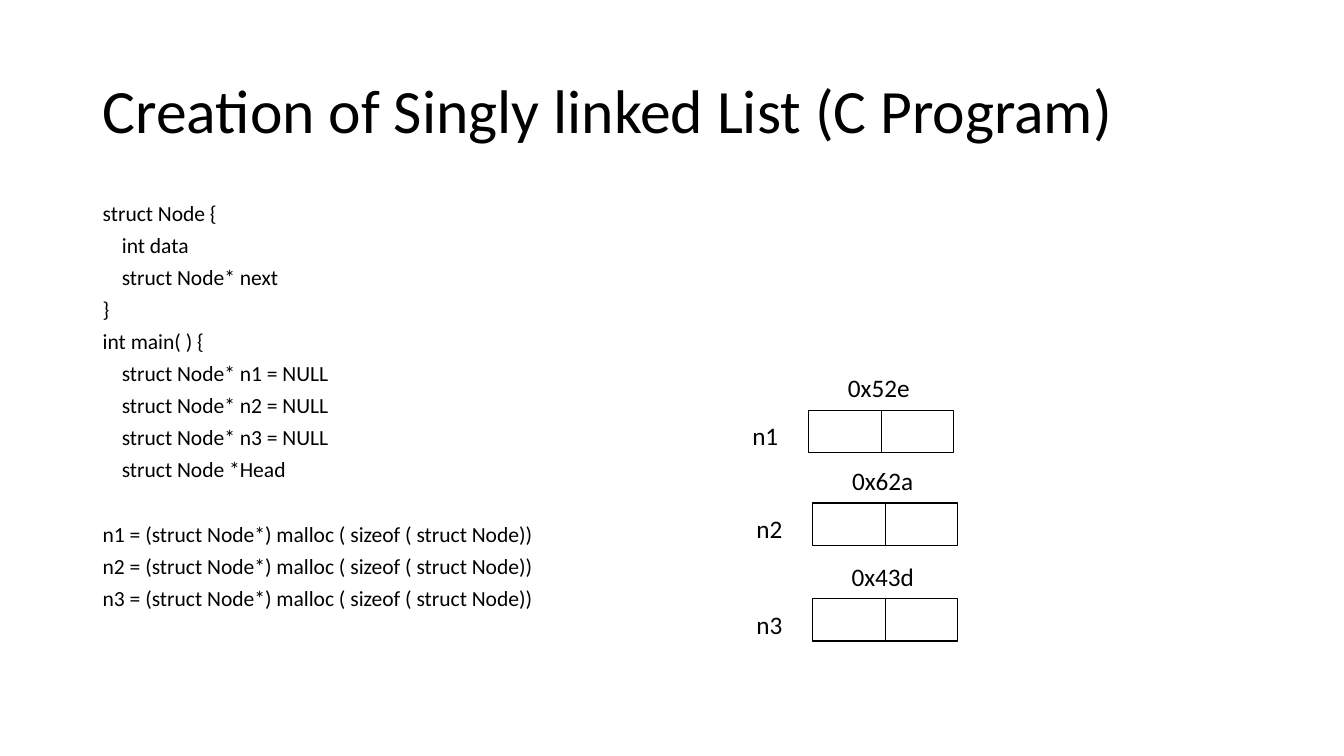
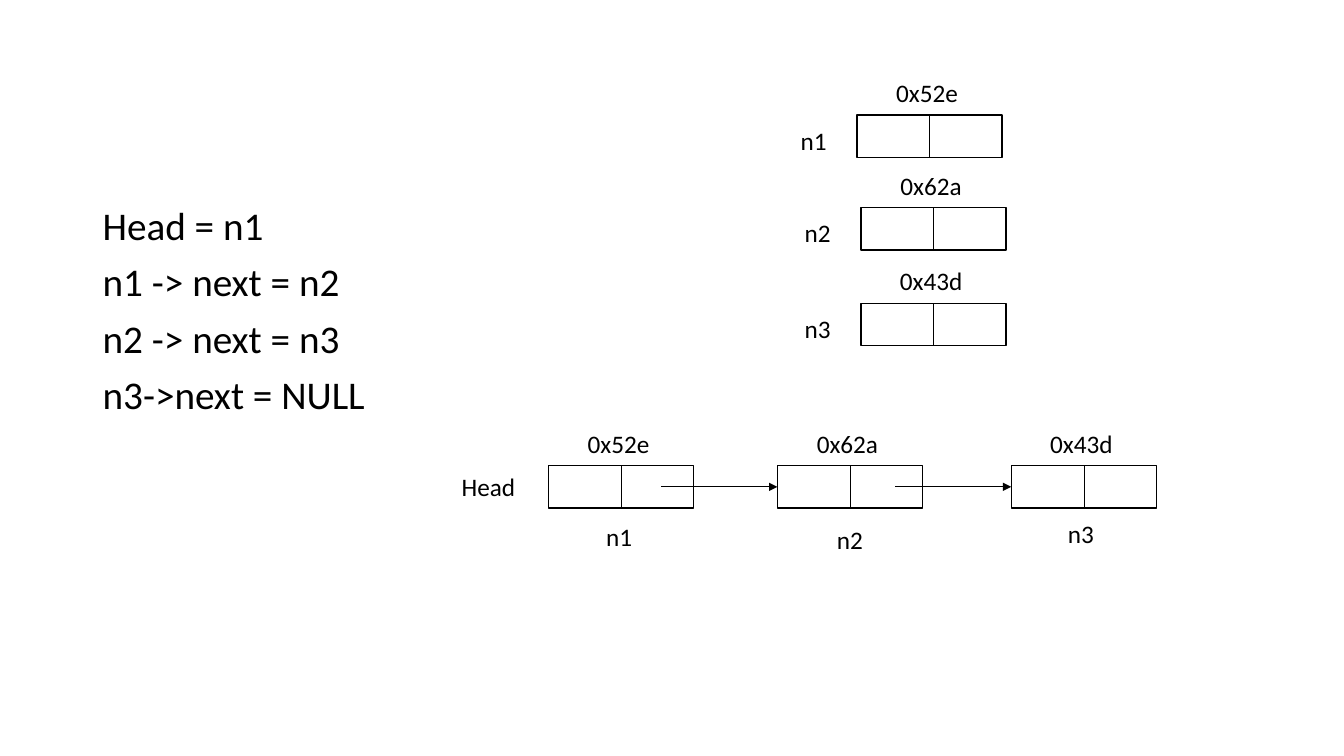
from dataclasses import dataclass
from typing import Optional

from pptx import Presentation
from pptx.dml.color import RGBColor
from pptx.enum.shapes import MSO_CONNECTOR, MSO_SHAPE
from pptx.enum.text import MSO_ANCHOR, PP_ALIGN
from pptx.oxml.ns import qn
from pptx.util import Inches, Pt
from lxml import etree

RECTANGLE = MSO_SHAPE.RECTANGLE
STRAIGHT = MSO_CONNECTOR.STRAIGHT
TOP, MIDDLE = MSO_ANCHOR.TOP, MSO_ANCHOR.MIDDLE
LEFT, CENTER = PP_ALIGN.LEFT, PP_ALIGN.CENTER

BLACK = RGBColor(0x00, 0x00, 0x00)
WHITE = RGBColor(0xFF, 0xFF, 0xFF)
FONT = "Calibri"
TITLE_SIZE, CODE_SIZE, STEP_SIZE, LABEL_SIZE = 44, 15.4, 28, 18
BLANK_LAYOUT = 6
TOP_SIDE, LEFT_SIDE, BOTTOM_SIDE = 0, 1, 2
CELL_WIDTH, CELL_HEIGHT = 1.44, 0.42
CODE_INDENT = Inches(0.19)
PARAGRAPH_GAP = 10
SECTION_GAP = 33
ARROW_LENGTH = Inches(1.15)
SIDE_LABEL = (-0.72, 0.08)


@dataclass(frozen=True)
class CodeLine:
    text: str
    level: int = 0
    before: float = PARAGRAPH_GAP


@dataclass(frozen=True)
class ListNode:
    name: str
    address: str
    left: float
    top: float
    label_offset: tuple[float, float] = SIDE_LABEL


NAMES = [("n1", "0x52e"), ("n2", "0x62a"), ("n3", "0x43d")]
STACK_OFFSETS = [(0, 0), (0.04, 0.92), (0.04, 1.87)]
CHAIN_LEFTS = [5.44, 7.71, 10.03]
CHAIN_TOP = 4.62
CHAIN_LABELS = [(0.41, 0.53), (0.43, 0.56), (0.4, 0.5)]

PROGRAM = [
    CodeLine("struct Node {"),
    CodeLine("int data", 1),
    CodeLine("struct Node* next", 1),
    CodeLine("}"),
    CodeLine("int main( ) {"),
    *[CodeLine(f"struct Node* {name} = NULL", 1) for name, _ in NAMES],
    CodeLine("struct Node *Head", 1),
    *[
        CodeLine(
            f"{name} = (struct Node*) malloc ( sizeof ( struct Node))",
            before=PARAGRAPH_GAP if index else SECTION_GAP,
        )
        for index, (name, _) in enumerate(NAMES)
    ],
]
STEPS = [
    CodeLine("Head = n1"),
    CodeLine("n1 -> next = n2"),
    CodeLine("n2 -> next = n3"),
    CodeLine("n3->next = NULL"),
]


def set_values(target, values: dict) -> None:
    for name, value in values.items():
        setattr(target, name, value)


def fill_para(para, text: str, size: float, para_format: dict) -> None:
    set_values(para, para_format)
    span = para.add_run()
    span.text = text
    set_values(span.font, {"name": FONT, "size": Pt(size)})
    span.font.color.rgb = BLACK


def add_text(page, left: float, top: float, width: float, height: float,
             lines: list[CodeLine], size: float, spacing: float = 1,
             anchor=TOP):
    box = page.shapes.add_textbox(
        Inches(left), Inches(top), Inches(width), Inches(height))
    frame = box.text_frame
    set_values(frame, {"word_wrap": True, "vertical_anchor": anchor})
    for index, line in enumerate(lines):
        para = frame.add_paragraph() if index else frame.paragraphs[0]
        fill_para(para, line.text, size, {
            "alignment": LEFT,
            "line_spacing": spacing,
            "space_before": Pt(line.before),
        })
        if line.level:
            para._p.get_or_add_pPr().set("marL", str(CODE_INDENT * line.level))
    return box


def add_box(page, left: float, top: float, width: float, height: float,
            line_color: RGBColor, text: Optional[str] = None):
    box = page.shapes.add_shape(
        RECTANGLE, Inches(left), Inches(top), Inches(width), Inches(height))
    box.shadow.inherit = False
    box.fill.solid()
    box.fill.fore_color.rgb = WHITE
    box.line.color.rgb = line_color
    box.line.width = Pt(1)
    if text:
        box.text_frame.vertical_anchor = MIDDLE
        fill_para(box.text_frame.paragraphs[0], text, LABEL_SIZE,
                  {"alignment": CENTER})
    return box


def add_line(page, left: int, top: int, arrow: bool = False):
    line = page.shapes.add_connector(STRAIGHT, left, top, left, top)
    line.line.color.rgb = BLACK
    line.line.width = Pt(0.5)
    if arrow:
        etree.SubElement(line.line._get_or_add_ln(), qn("a:tailEnd"),
                         type="triangle")
    etree.SubElement(line._element.spPr, qn("a:effectLst"))
    return line


def draw_node(page, node: ListNode):
    cell = add_box(page, node.left, node.top, CELL_WIDTH, CELL_HEIGHT, BLACK)
    add_box(page, node.left + 0.17, node.top - 0.34, 1.05, 0.23, WHITE,
            node.address)
    label_x, label_y = node.label_offset
    add_box(page, node.left + label_x, node.top + label_y, 0.58, 0.34, WHITE,
            node.name)
    divider = add_line(page, cell.left + cell.width // 2, cell.top)
    divider.begin_connect(cell, TOP_SIDE)
    divider.end_connect(cell, BOTTOM_SIDE)
    return cell


def draw_stack(page, left: float, top: float) -> None:
    for (name, address), (shift_x, shift_y) in zip(NAMES, STACK_OFFSETS):
        draw_node(page, ListNode(name, address, left + shift_x, top + shift_y))


def draw_chain(page) -> None:
    add_text(page, 4.48, 4.63, 1.12, 0.4, [CodeLine("Head", before=0)],
             LABEL_SIZE)
    cells = [
        draw_node(page, ListNode(name, address, left, CHAIN_TOP, offset))
        for (name, address), left, offset
        in zip(NAMES, CHAIN_LEFTS, CHAIN_LABELS)
    ]
    for cell in cells[1:]:
        arrow = add_line(page, cell.left - ARROW_LENGTH,
                         cell.top + cell.height // 2, arrow=True)
        arrow.end_connect(cell, LEFT_SIDE)


def build_creation(page) -> None:
    title = CodeLine("Creation of Singly linked List (C Program)", before=0)
    add_text(page, 0.92, 0.4, 11.5, 1.45, [title], TITLE_SIZE, 0.9, MIDDLE)
    add_text(page, 0.92, 2, 4.71, 4.76, PROGRAM, CODE_SIZE, 0.7)
    draw_stack(page, 8.02, 4.07)


def build_linking(page) -> None:
    add_text(page, 0.92, 2, 3.33, 4.76, STEPS, STEP_SIZE, 0.9)
    draw_chain(page)
    draw_stack(page, 8.5, 1.14)


def main() -> None:
    deck = Presentation()
    set_values(deck, {"slide_width": Inches(13.33),
                      "slide_height": Inches(7.5)})
    for build in (build_creation, build_linking):
        build(deck.slides.add_slide(deck.slide_layouts[BLANK_LAYOUT]))
    deck.save("out.pptx")


if __name__ == "__main__":
    main()
